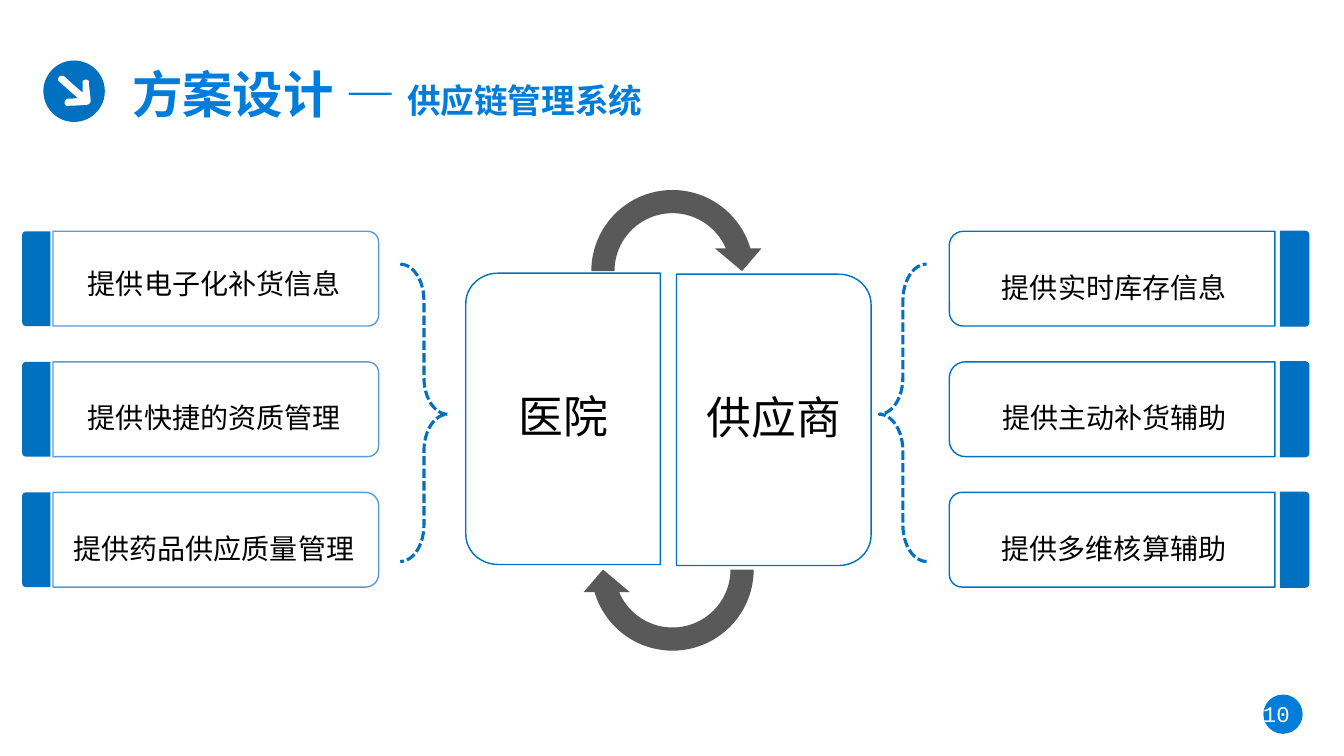
"""Builds the supply chain management slide: hospital and supplier exchange."""
from math import cos, pi, sin
from lxml import etree
from pptx import Presentation
from pptx.dml.color import RGBColor
from pptx.enum.dml import MSO_LINE
from pptx.enum.shapes import MSO_SHAPE
from pptx.enum.text import MSO_ANCHOR, MSO_AUTO_SIZE, PP_ALIGN
from pptx.oxml.ns import qn
from pptx.util import Inches, Pt

THEME = {
    "blue": RGBColor(0x00, 0x70, 0xC0),
    "bright": RGBColor(0x00, 0x7D, 0xDA),
    "pale": RGBColor(0x5B, 0x9B, 0xD5),
    "grey": RGBColor(0x59, 0x59, 0x59),
    "white": RGBColor(0xFF, 0xFF, 0xFF),
    "black": RGBColor(0, 0, 0),
    "title": Pt(36), "subtitle": Pt(24), "party": Pt(32), "card": Pt(20), "page": Pt(16),
    "cjk": "Noto Sans CJK SC", "latin": "Calibri", "mono": "Courier New",
}


def style(s, fill=None, line=None, width=1, adj=()):
    """Set fill, outline and adjustments of a shape."""
    s.shadow.inherit = False
    for part, color in ((s.fill, fill), (s.line.fill, line)):
        if color:
            part.solid()
            part.fore_color.rgb = THEME[color]
        else:
            part.background()
    if line:
        s.line.width = Pt(width)
    for i, value in enumerate(adj):
        s.adjustments[i] = value
    return s


def write(s, text, size, color, font, bold=False, align=PP_ALIGN.CENTER, spacing=1.0):
    """Add one formatted run to the first paragraph of a shape."""
    p = s.text_frame.paragraphs[0]
    p.alignment, p.line_spacing = align, spacing
    r = p.add_run()
    r.text = text
    for name, value in {"size": THEME[size], "name": THEME[font], "bold": bold}.items():
        setattr(r.font, name, value)
    r.font.color.rgb = THEME[color]
    ea = etree.Element(qn("a:ea"), typeface=THEME["cjk"])
    r.font._element.find(qn("a:latin")).addnext(ea)


prs = Presentation()
prs.slide_width, prs.slide_height = Inches(13.33), Inches(7.5)
slide = prs.slides.add_slide(prs.slide_layouts[5])
shapes = slide.shapes

title = shapes.title
box = {"left": 1.21, "top": 0.58, "width": 5.6, "height": 0.71}
for name, value in box.items():
    setattr(title, name, Inches(value))
frame = {"word_wrap": True, "auto_size": MSO_AUTO_SIZE.NONE, "vertical_anchor": MSO_ANCHOR.TOP}
for name, value in frame.items():
    setattr(title.text_frame, name, value)
for text, size in (("方案设计 — ", "title"), ("供应链管理系统", "subtitle")):
    write(title, text, size, "bright", "latin", True, PP_ALIGN.LEFT)

for x, y, d, color in ((0.43, 0.6, 0.61, "blue"), (12.53, 6.89, 0.39, "bright")):
    style(shapes.add_shape(MSO_SHAPE.OVAL, Inches(x), Inches(y), Inches(d), Inches(d)), color)

icon_curves = [
    [(0.82, 0.92), (0.69, 0.81), (0.64, 0.76)],
    [(0.62, 0.75), (0.6, 0.75), (0.59, 0.76)],
    [(0.57, 0.78), (0.57, 0.8), (0.59, 0.81)],
    [(0.64, 0.86), (0.77, 0.97), (0.77, 0.97)],
    [(0.77, 0.97), (0.75, 0.98), (0.67, 0.98)],
    [(0.66, 0.98), (0.64, 1), (0.64, 1.02)],
    [(0.64, 1.04), (0.66, 1.06), (0.68, 1.05)],
    [(0.74, 1.05), (0.86, 1.04), (0.86, 1.04)],
    [(0.88, 1.04), (0.9, 1.02), (0.9, 1)],
    [(0.9, 1), (0.89, 0.9), (0.88, 0.82)],
    [(0.89, 0.8), (0.87, 0.79), (0.85, 0.79)],
    [(0.83, 0.79), (0.81, 0.81), (0.82, 0.83)],
    [(0.82, 0.89), (0.82, 0.92), (0.82, 0.92)],
]
start = (0.82, 0.92)
outline = []
for b, c, d in icon_curves:
    for t in (0.25, 0.5, 0.75, 1):
        weights = ((1 - t) ** 3, 3 * t * (1 - t) ** 2, 3 * t * t * (1 - t), t ** 3)
        outline.append([Inches(sum(w * pt[i] for w, pt in zip(weights, (start, b, c, d))))
                        for i in (0, 1)])
    start = d
builder = shapes.build_freeform(Inches(0.82), Inches(0.92))
builder.add_line_segments(outline, close=True)
style(builder.convert_to_shape(), "white")

page = shapes.add_textbox(Inches(12.37), Inches(6.9), Inches(0.71), Inches(0.37))
page.text_frame.word_wrap = True
write(page, "10 ", "page", "white", "mono")

for inner, side, top, text in ((6.55, -1, 2.71, "医院"), (6.71, 1, 2.72, "供应商")):
    outer, bottom = inner + side * 1.93, top + 2.89
    angles = [pi / 2 * i / 12 for i in range(13)]
    arc = [(outer - side * 0.32 * (1 - sin(a)), 0.3 * (1 - cos(a))) for a in angles]
    points = [(x, top + y) for x, y in arc] + [(x, bottom - y) for x, y in reversed(arc)]
    points.append((inner, bottom))
    builder = shapes.build_freeform(Inches(inner), Inches(top))
    builder.add_line_segments([(Inches(x), Inches(y)) for x, y in points], close=True)
    s = style(builder.convert_to_shape(), "white", "blue")
    s.text_frame.word_wrap = True
    s.text_frame.vertical_anchor = MSO_ANCHOR.MIDDLE
    write(s, text, "party", "black", "cjk", spacing=0.9)

for y, angle in ((1.77, 0), (4.73, 180)):
    s = shapes.add_shape(MSO_SHAPE.CIRCULAR_ARROW, Inches(5.75), Inches(y), Inches(1.84), Inches(1.84))
    style(s, "grey", adj=(0.125, 11.423, 204.577, 108, 0.125))
    s.rotation = angle

for kind, x in ((MSO_SHAPE.RIGHT_BRACE, 3.97), (MSO_SHAPE.LEFT_BRACE, 8.72)):
    s = shapes.add_shape(kind, Inches(x), Inches(2.62), Inches(0.47), Inches(2.95))
    style(s, line="blue", width=2.25, adj=(0.773, 0.505))
    s.line.dash_style = MSO_LINE.SQUARE_DOT

rows = [
    ("提供电子化补货信息", 1.3, 0.114, "提供实时库存信息", 0.148),
    ("提供快捷的资质管理", 1.5, 0.114, "提供主动补货辅助", 0.17),
    ("提供药品供应质量管理", 1.5, 0.137, "提供多维核算辅助", 0.136),
]
for i, (left, spacing, left_round, right, right_round) in enumerate(rows):
    cy = 2.765 + 1.295 * i
    panels = [
        (0.36, 0.28, (0, 0.127), "blue", None, "", 1),
        (2.14, 3.23, (left_round, 0), "white", "pale", left, spacing),
        (12.84, 0.28, (0.127, 0), "blue", "blue", "", 1),
        (11.03, 3.23, (0, right_round), "white", "blue", right, 1.5),
    ]
    for cx, w, adj, fill, line, text, leading in panels:
        s = shapes.add_shape(MSO_SHAPE.ROUND_2_SAME_RECTANGLE, Inches(cx - 0.47),
                             Inches(cy - w / 2), Inches(0.94), Inches(w))
        style(s, fill, line, adj=adj)
        s.rotation = 90
        if text:
            s.element.txBody.bodyPr.set("vert", "vert270")
            s.text_frame.vertical_anchor = MSO_ANCHOR.MIDDLE
            write(s, text, "card", "black", "cjk", spacing=leading)

prs.save("out.pptx")
